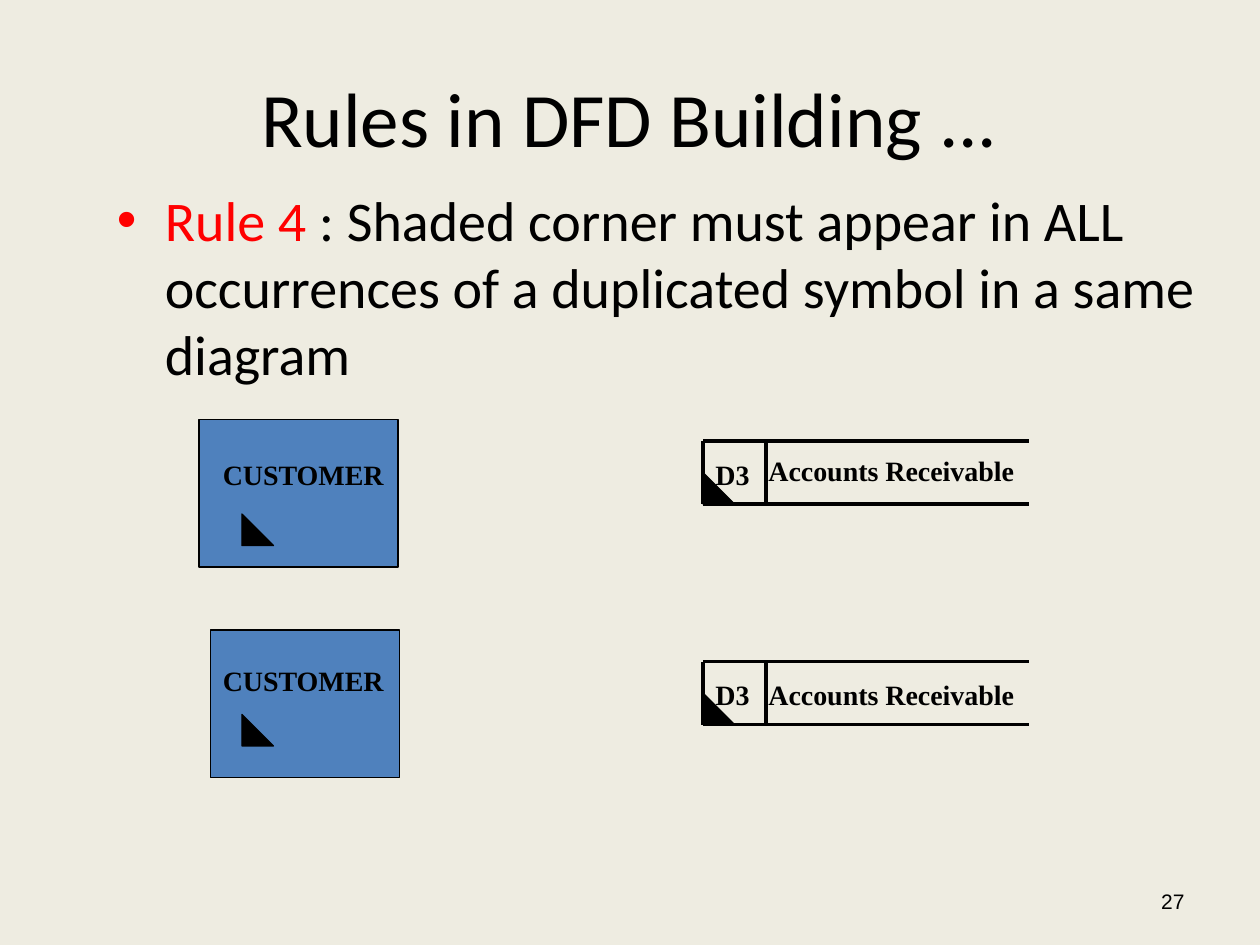
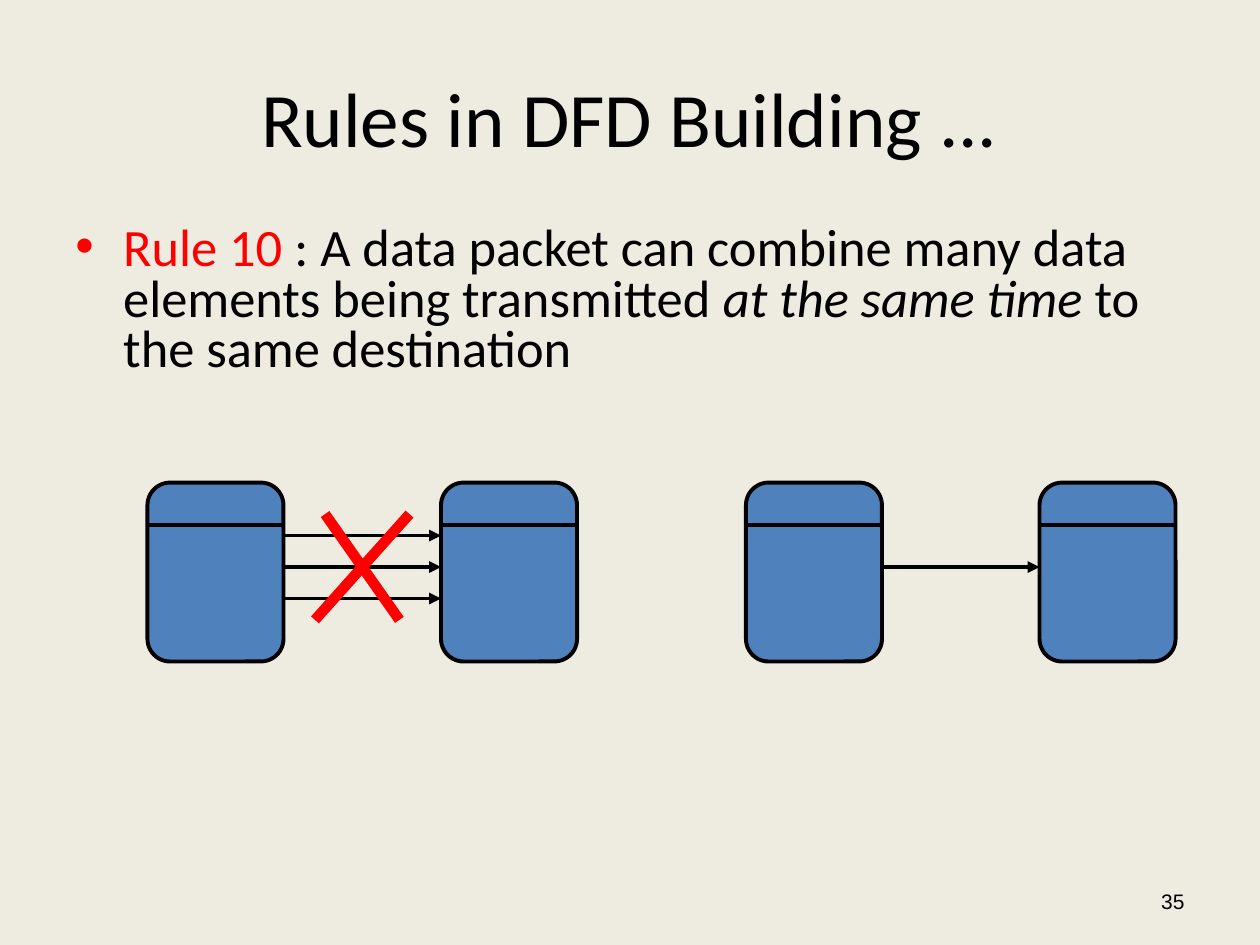
from lxml import etree
from pptx import Presentation
from pptx.dml.color import RGBColor
from pptx.enum import shapes, text
from pptx.oxml import ns
from pptx.util import Inches, Pt

COLORS = {"background": "EEECE1", "ink": "000000", "accent": "FF0000", "box": "4F81BD"}
RGB = {name: RGBColor.from_string(value) for name, value in COLORS.items()}
SHAPE = shapes.MSO_SHAPE
ALIGN = text.PP_ALIGN
TOP, MIDDLE = text.MSO_ANCHOR.TOP, text.MSO_ANCHOR.MIDDLE

presentation = Presentation()
presentation.slide_width, presentation.slide_height = Inches(10), Inches(7.5)


def add_text(slide, box, runs, font, size, align=ALIGN.LEFT, anchor=TOP, bold=False):
    """Add a one-paragraph text box; runs are (text, color name, italic)."""
    frame = slide.shapes.add_textbox(*map(Inches, box)).text_frame
    frame.word_wrap = True
    frame.vertical_anchor = anchor
    paragraph = frame.paragraphs[0]
    paragraph.alignment = align
    paragraph.font.name, paragraph.font.size, paragraph.font.bold = font, Pt(size), bold
    for words, color, italic in runs:
        run = paragraph.add_run()
        run.text = words
        run.font.color.rgb = RGB[color]
        if italic:
            run.font.italic = True
    return paragraph


def add_line(slide, start, end, color="ink", width=2.25, arrow=False):
    line = slide.shapes.add_connector(
        shapes.MSO_CONNECTOR.STRAIGHT, *map(Inches, (*start, *end)))
    line.line.color.rgb = RGB[color]
    line.line.width = Pt(width)
    if arrow:
        etree.SubElement(line.line._get_or_add_ln(), ns.qn("a:tailEnd"), type="triangle")
    etree.SubElement(line._element.spPr, ns.qn("a:effectLst"))


# Shared frame: background, title, bulleted rule, page number
pages = [
    {"number": "27", "box": (0.83, 1.42, 9.17, 1.83), "size": 32, "spacing": 1.0,
     "rule": [("Rule 4", "accent", False),
              (" : Shaded corner must appear in ALL occurrences of a duplicated "
               "symbol in a same diagram", "ink", False)]},
    {"number": "35", "box": (0.5, 1.75, 9, 1.34), "size": 30, "spacing": 0.8,
     "rule": [("Rule 10", "accent", False),
              (" : A data packet can combine many data elements being transmitted ",
               "ink", False),
              ("at the same time", "ink", True),
              (" to the same destination", "ink", False)]},
]
slides = []
for page in pages:
    slide = presentation.slides.add_slide(presentation.slide_layouts[6])
    slide.background.fill.solid()
    slide.background.fill.fore_color.rgb = RGB["background"]
    add_text(slide, (0.5, 0.3, 9, 1.25), [("Rules in DFD Building ...", "ink", False)],
             "Calibri", 44, ALIGN.CENTER, MIDDLE)
    paragraph = add_text(slide, page["box"], page["rule"], "Calibri", page["size"])
    paragraph.line_spacing = page["spacing"]
    paragraph.space_before = Pt(page["size"] / 4)
    properties = paragraph._p.get_or_add_pPr()
    properties.set("marL", str(Inches(0.38)))
    properties.set("indent", str(Inches(-0.38)))
    bullet_color = etree.Element(ns.qn("a:buClr"))
    etree.SubElement(bullet_color, ns.qn("a:srgbClr"), val=COLORS["accent"])
    bullet_font = etree.Element(ns.qn("a:buFont"), typeface="Arial")
    bullet = etree.Element(ns.qn("a:buChar"), char="•")
    position = len(properties.findall(ns.qn("a:lnSpc")) + properties.findall(ns.qn("a:spcBef")))
    properties[position:position] = [bullet_color, bullet_font, bullet]
    add_text(slide, (7.17, 6.95, 2.33, 0.4), [(page["number"], "ink", False)],
             "Arial", 12, ALIGN.RIGHT, MIDDLE)
    slides.append(slide)
corner_slide, packet_slide = slides

# Rule 4: duplicated entities and data stores with shaded corners
entities = [((1.58, 3.33, 1.58, 1.17), 3.58, 4.08), ((1.67, 5, 1.5, 1.17), 5.22, 5.67)]
stores = [(3.5, 3.58, 3.55), (5.25, 5.33, 5.33)]
filled_shapes = [(SHAPE.RECTANGLE, box, "box") for box, _, _ in entities]
filled_shapes += [(SHAPE.RIGHT_TRIANGLE, (1.92, corner_top, 0.25, 0.25), "ink")
                  for _, _, corner_top in entities]
filled_shapes += [(SHAPE.RIGHT_TRIANGLE, (5.58, top + 0.25, 0.25, 0.25), "ink")
                  for top, _, _ in stores]
for kind, box, color in filled_shapes:
    shape = corner_slide.shapes.add_shape(kind, *map(Inches, box))
    shape.shadow.inherit = False
    shape.fill.solid()
    shape.fill.fore_color.rgb = RGB[color]
    shape.line.color.rgb = RGB["ink"]
    shape.line.width = Pt(0.75)

labels = [("CUSTOMER", 1.67, label_top, 1.5) for _, label_top, _ in entities]
for top, id_top, name_top in stores:
    for y in (top, top + 0.5):
        add_line(corner_slide, (5.58, y), (8.17, y))
    for x in (5.58, 6.08):
        add_line(corner_slide, (x, top), (x, top + 0.5))
    labels += [("D3", 5.58, id_top, 0.5), ("Accounts Receivable", 6, name_top, 2.42)]
for words, left, top, width in labels:
    add_text(corner_slide, (left, top, width, 0.37), [(words, "ink", False)],
             "Times New Roman", 16, bold=True)

# Rule 10: processes with a header line
for left in (1.17, 3.5, 5.92, 8.25):
    process = packet_slide.shapes.add_shape(
        SHAPE.ROUNDED_RECTANGLE, *map(Inches, (left, 3.83, 1.08, 1.42)))
    process.shadow.inherit = False
    process.fill.solid()
    process.fill.fore_color.rgb = RGB["box"]
    process.line.color.rgb = RGB["ink"]
    process.line.width = Pt(2.25)
    add_line(packet_slide, (left, 4.17), (left + 1.08, 4.17))

# Separate flows, one combined flow, and the cross over the wrong case
for left, y in ((2.25, 4.25), (2.25, 4.5), (2.25, 4.75), (7, 4.5)):
    add_line(packet_slide, (left, y), (left + 1.25, y), arrow=True)
for start_x, end_x in ((2.58, 3.17), (3.25, 2.5)):
    add_line(packet_slide, (start_x, 4.08), (end_x, 4.92), "accent", 6)

presentation.save("out.pptx")
